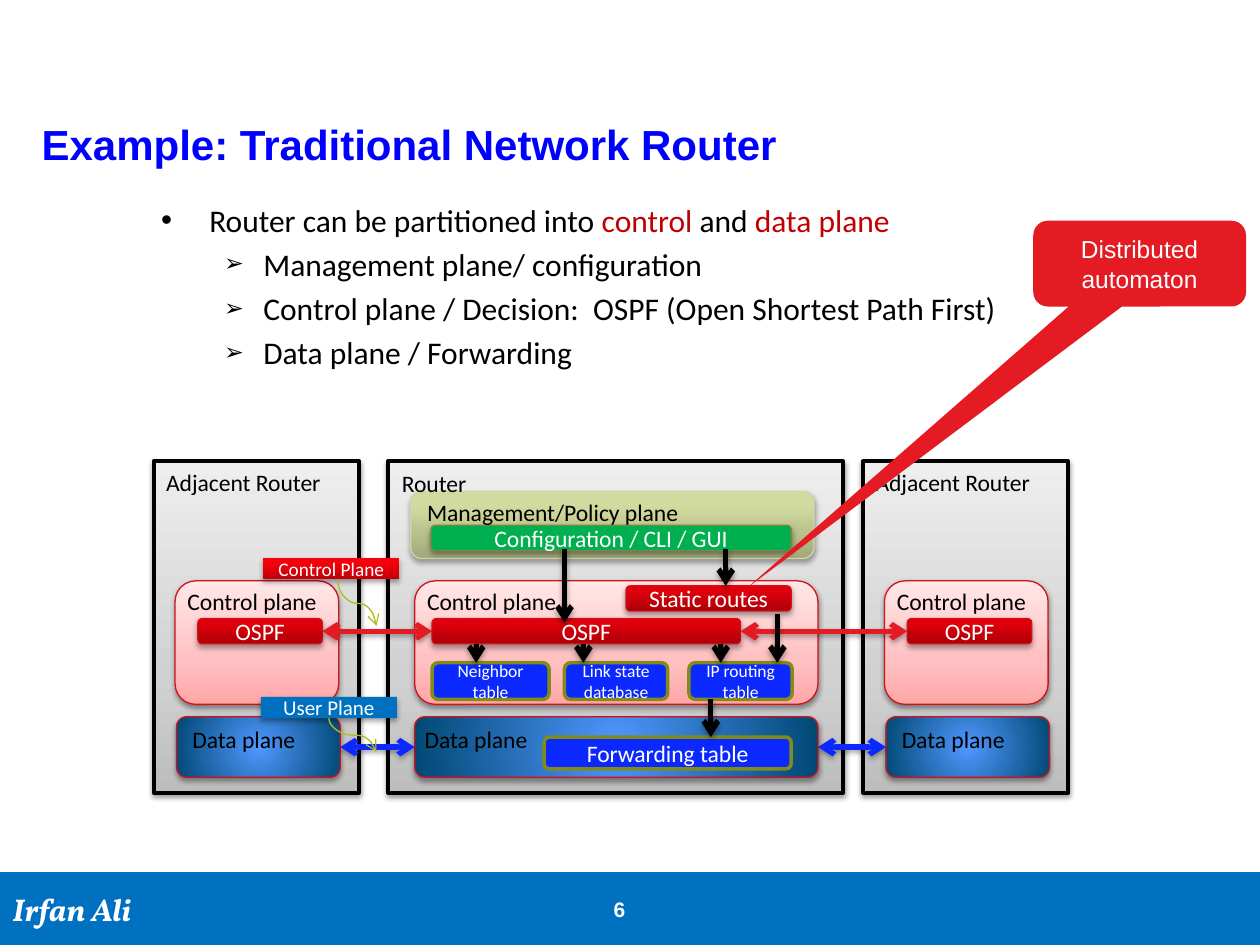
import pptx
import pptx.util
import pptx.dml.color
import pptx.enum.shapes
import pptx.enum.text
import pptx.oxml
import pptx.oxml.ns
from lxml import etree

Cm, Pt = pptx.util.Cm, pptx.util.Pt
SHAPE = pptx.enum.shapes.MSO_SHAPE
CONNECTOR = pptx.enum.shapes.MSO_CONNECTOR
ALIGN = pptx.enum.text.PP_ALIGN
ANCHOR = pptx.enum.text.MSO_ANCHOR
TOP, LEFT, BOTTOM, RIGHT = range(4)

COLOURS = {
    "black": "000000", "white": "FFFFFF", "title": "0000FF", "keyword": "C00000",
    "banner": "0070C0", "red": "E51B24", "blue": "0B28FF", "green": "00B050",
    "dark red": "CF121B", "olive": "818C18", "moss": "7D883B",
    "pale olive": "D0D7A6", "lime": "AEBD1C",
}
GRADIENTS = {
    "grey": [(0, "BDBDBD"), (35, "D1D1D1"), (100, "EEEEEE")],
    "sage": [(0, "A2A97A"), (80, "D2DB9F"), (100, "D4DD9E")],
    "pink": [(0, "FFA7A7"), (35, "FFC0C1"), (100, "FFE7E7")],
    "crimson": [(0, "AC0008"), (80, "DF000B"), (100, "E0000B")],
    "scarlet": [(0, "BF0009"), (80, "F8000B"), (100, "F9000B")],
    "glow": [(0, "5098FF"), (100, "004873")],
}
# STYLE_FIELDS
STYLES = {
    "router": (SHAPE.RECTANGLE, "grey", "black", 2.25, True),
    "management": (SHAPE.ROUNDED_RECTANGLE, "sage", "pale olive", 0.75, True),
    "control": (SHAPE.ROUNDED_RECTANGLE, "pink", "dark red", 0.75, True),
    "data": (SHAPE.ROUNDED_RECTANGLE, "glow", "dark red", 0.75, True),
    "config": (SHAPE.ROUNDED_RECTANGLE, "green", "moss", 0.75, True),
    "process": (SHAPE.ROUNDED_RECTANGLE, "crimson", "dark red", 0.75, True),
    "table": (SHAPE.ROUNDED_RECTANGLE, "blue", "olive", 2, False),
    "control tag": (SHAPE.RECTANGLE, "scarlet", None, 0, True),
    "user tag": (SHAPE.RECTANGLE, "banner", None, 0, True),
    "banner": (SHAPE.RECTANGLE, "banner", None, 0, False),
    "callout": (SHAPE.ROUNDED_RECTANGULAR_CALLOUT, "red", None, 0, False),
}
BULLETS = [
    (0, [("Router can be partitioned into ", "black"), ("control", "keyword"),
         (" and ", "black"), ("data plane", "keyword")]),
    (1, [("Management plane/ configuration", "black")]),
    (1, [("Control plane / Decision:  OSPF (Open Shortest Path First)", "black")]),
    (1, [("Data plane / Forwarding", "black")]),
]
BULLET_LEVELS = [("•", 100, 0.97, -0.97), ("➢", 75, 2.06, -0.79)]
MAIN_ROUTER = [
    ("frame", "router", 7.82, 9.3, 9.17, 6.68, "", 0),
    ("management", "management", 8.28, 9.91, 8.13, 1.35, "", 0),
    ("control", "control", 8.36, 11.71, 8.13, 2.49, "", 0),
    ("data", "data", 8.36, 14.45, 8.13, 1.22, "", 0),
    ("config", "config", 8.69, 10.59, 7.26, 0.51, "Configuration / CLI / GUI", 13.5),
    ("static", "process", 12.62, 11.81, 3.33, 0.51, "Static routes", 13.5),
    ("ospf", "process", 8.71, 12.47, 6.22, 0.51, "OSPF", 13.5),
    ("neighbor", "table", 8.71, 13.36, 2.36, 0.74, "Neighbor table", 10),
    ("link state", "table", 11.38, 13.36, 2.08, 0.74, "Link state database", 10),
    ("routing", "table", 13.89, 13.36, 2.08, 0.74, "IP routing table", 10),
    ("forwarding", "table", 10.97, 14.86, 4.98, 0.64, "Forwarding table", 13.5),
]
MAIN_LABELS = [
    ("Router", 7.85, 9.32, 1.83), ("Management/Policy plane", 8.36, 9.91, 5.66),
    ("Control plane", 8.36, 11.71, 3.15), ("Data plane", 8.31, 14.48, 2.62),
]
ADJACENT_ROUTER = [
    ("frame", "router", 3.1, 9.3, 4.14, 6.68, "", 0),
    ("control", "control", 3.53, 11.71, 3.3, 2.49, "", 0),
    ("data", "data", 3.56, 14.45, 3.3, 1.22, "", 0),
    ("ospf", "process", 3.99, 12.47, 2.51, 0.51, "OSPF", 13.5),
]
ADJACENT_LABELS = [
    ("Adjacent Router", 3.1, 9.3, 3.68), ("Control plane", 3.53, 11.71, 3.15),
    ("Data plane", 3.63, 14.48, 2.62),
]
ADJACENT_SHIFT = 14.3
DOWN_ARROWS = [
    (14.63, 11.07, 11.81), (11.38, 11.07, 12.55), (9.6, 12.98, 13.36),
    (11.76, 12.98, 13.36), (14.53, 12.98, 13.36), (14.33, 14.1, 14.86),
    (15.67, 12.37, 13.36),
]
TAGS = [
    ("control tag", 5.31, 11.25, "Control Plane", 11),
    ("user tag", 5.26, 14.05, "User Plane", 12),
]
TAG_CURVES = [(6.81, 11.71, 7.59, 12.62), (6.63, 14.48, 7.59, 15.16)]


def colour(name):
    return pptx.dml.color.RGBColor.from_string(COLOURS[name])


def tag(parent, name, **attributes):
    values = {key: str(value) for key, value in attributes.items()}
    return etree.SubElement(parent, pptx.oxml.ns.qn("a:" + name), values)


def add_shadow(properties, alpha=35, distance=1.8):
    effects = properties.find(pptx.oxml.ns.qn("a:effectLst"))
    if effects is None:
        effects = tag(properties, "effectLst")
    shadow = tag(effects, "outerShdw", blurRad=Pt(3.1), dist=Pt(distance),
                 dir=5400000, rotWithShape=0)
    tag(tag(shadow, "srgbClr", val="000000"), "alpha", val=alpha * 1000)


def fill_gradient(shape, name):
    properties = shape._element.spPr
    gradient = tag(properties, "gradFill", rotWithShape=1)
    stops = tag(gradient, "gsLst")
    for position, value in GRADIENTS[name]:
        tag(tag(stops, "gs", pos=position * 1000), "srgbClr", val=value)
    if name == "glow":
        centre = dict.fromkeys("ltrb", 50000)
        tag(tag(gradient, "path", path="circle"), "fillToRect", **centre)
    else:
        tag(gradient, "lin", ang=16200000, scaled=0)
    properties.find(pptx.oxml.ns.qn("a:prstGeom")).addnext(gradient)


def set_font(para, size, ink, face="Calibri", bold=False, italic=False):
    font = para.font
    font.size, font.name, font.bold, font.italic = Pt(size), face, bold, italic
    if ink:
        font.color.rgb = colour(ink)


def add_box(page, style, left, top, width, height, text="", size=0, face="Calibri"):
    kind, fill, outline, weight, shadowed = STYLES[style]
    shape = page.shapes.add_shape(kind, Cm(left), Cm(top), Cm(width), Cm(height))
    shape.shadow.inherit = False
    if fill in GRADIENTS:
        fill_gradient(shape, fill)
    else:
        shape.fill.solid()
        shape.fill.fore_color.rgb = colour(fill)
    if outline:
        shape.line.color.rgb = colour(outline)
        shape.line.width = Pt(weight)
    else:
        shape.line.fill.background()
    if shadowed:
        soft = style in ("router", "control", "data")
        add_shadow(shape._element.spPr, *((38, 1.6) if soft else (35, 1.8)))
    if text:
        shape.text_frame.vertical_anchor = ANCHOR.MIDDLE
        para = shape.text_frame.paragraphs[0]
        para.text, para.alignment = text, ALIGN.CENTER
        set_font(para, size, "white", face)
    return shape


def add_text(page, left, top, width, height, text="", size=13.5, ink="black",
             face="Calibri", bold=False, inset=True, wrap=False):
    box = page.shapes.add_textbox(Cm(left), Cm(top), Cm(width), Cm(height))
    frame = box.text_frame
    frame.word_wrap = wrap
    if not inset:
        frame.margin_left = frame.margin_right = frame.margin_top = frame.margin_bottom = 0
    if text:
        frame.paragraphs[0].text = text
        set_font(frame.paragraphs[0], size, ink, face, bold)
    return frame


def add_router(page, parts, labels, shift=0):
    boxes = {name: add_box(page, style, left + shift, *rest)
             for name, style, left, *rest in parts}
    for text, left, top, width in labels:
        add_text(page, left + shift, top, width, 0.84, text)
    return boxes


def add_arrow(page, ink, weight, points=(0, 0, 0, 0), kind=CONNECTOR.STRAIGHT,
              both=False, shadowed=True):
    arrow = page.shapes.add_connector(kind, *(Cm(value) for value in points))
    arrow.line.color.rgb = colour(ink)
    arrow.line.width = Pt(weight)
    line = arrow.line._get_or_add_ln()
    if both:
        tag(line, "headEnd", type="arrow")
    tag(line, "tailEnd", type="arrow")
    if shadowed:
        add_shadow(arrow._element.spPr)
    else:
        tag(arrow._element.spPr, "effectLst")
    return arrow


def add_curve(page, x1, y1, x2, y2):
    middle_x, middle_y = (x1 + x2) / 2, (y1 + y2) / 2
    half_x, half_y = (x2 - x1) / 2, (y2 - y1) / 2
    turned = (middle_x + half_y, middle_y - half_x, middle_x - half_y, middle_y + half_x)
    curve = add_arrow(page, "lime", 0.75, turned, CONNECTOR.CURVE, shadowed=False)
    curve._element.spPr.find(pptx.oxml.ns.qn("a:xfrm")).set("rot", "16200000")


def add_bullets(page):
    frame = add_text(page, 3.25, 4.05, 17.88, 9.42, inset=False, wrap=True)
    for index, (level, runs) in enumerate(BULLETS):
        para = frame.add_paragraph() if index else frame.paragraphs[0]
        para.level = level
        if index:
            para.space_before = Pt(3.6)
        symbol, percent, margin, indent = BULLET_LEVELS[level]
        properties = para._p.get_or_add_pPr()
        properties.set("marL", str(Cm(margin)))
        properties.set("indent", str(Cm(indent)))
        tag(properties, "buSzPct", val=percent * 1000)
        tag(properties, "buFont", typeface="Arial")
        tag(properties, "buChar", char=symbol)
        set_font(para, 18, None)
        for text, ink in runs:
            span = para.add_run()
            span.text = text
            span.font.color.rgb = colour(ink)


def main():
    deck = pptx.Presentation()
    deck.slide_width, deck.slide_height = Cm(25.4), Cm(19.05)
    page = deck.slides.add_slide(deck.slide_layouts[6])

    footer = add_box(page, "banner", 0, 17.58, 25.4, 1.47, "Irfan Ali", 18)
    author = footer.text_frame.paragraphs[0]
    author.alignment = ALIGN.LEFT
    set_font(author, 18, "white", "Vollkorn", True, True)
    add_text(page, 12.37, 18.08, 0.66, 0.51, "6", 12, "white", "Arial", True, False)
    add_text(page, 0.84, 2.39, 21.89, 2.31, "Example: Traditional Network Router",
             24, "title", "Arial", True, False, True)
    add_bullets(page)

    main_router = add_router(page, MAIN_ROUTER, MAIN_LABELS)
    left_router = add_router(page, ADJACENT_ROUTER, ADJACENT_LABELS)
    right_router = add_router(page, ADJACENT_ROUTER, ADJACENT_LABELS, ADJACENT_SHIFT)
    for part, ink in (("ospf", "red"), ("data", "blue")):
        for start, end in ((left_router, main_router), (main_router, right_router)):
            link = add_arrow(page, ink, 3, both=True)
            link.begin_connect(start[part], RIGHT)
            link.end_connect(end[part], LEFT)
    for x, top, bottom in DOWN_ARROWS:
        add_arrow(page, "black", 3, (x, top, x, bottom))
    for style, left, top, text, size in TAGS:
        add_box(page, style, left, top, 2.74, 0.43, text, size)
    for points in TAG_CURVES:
        add_curve(page, *points)

    callout = add_box(page, "callout", 20.83, 4.45, 4.29, 1.73,
                      "Distributed automaton", 14, "Arial")
    for index, value in enumerate((-1.85, 3.79, 0.17)):
        callout.adjustments[index] = value
    deck.save("out.pptx")


if __name__ == "__main__":
    main()
